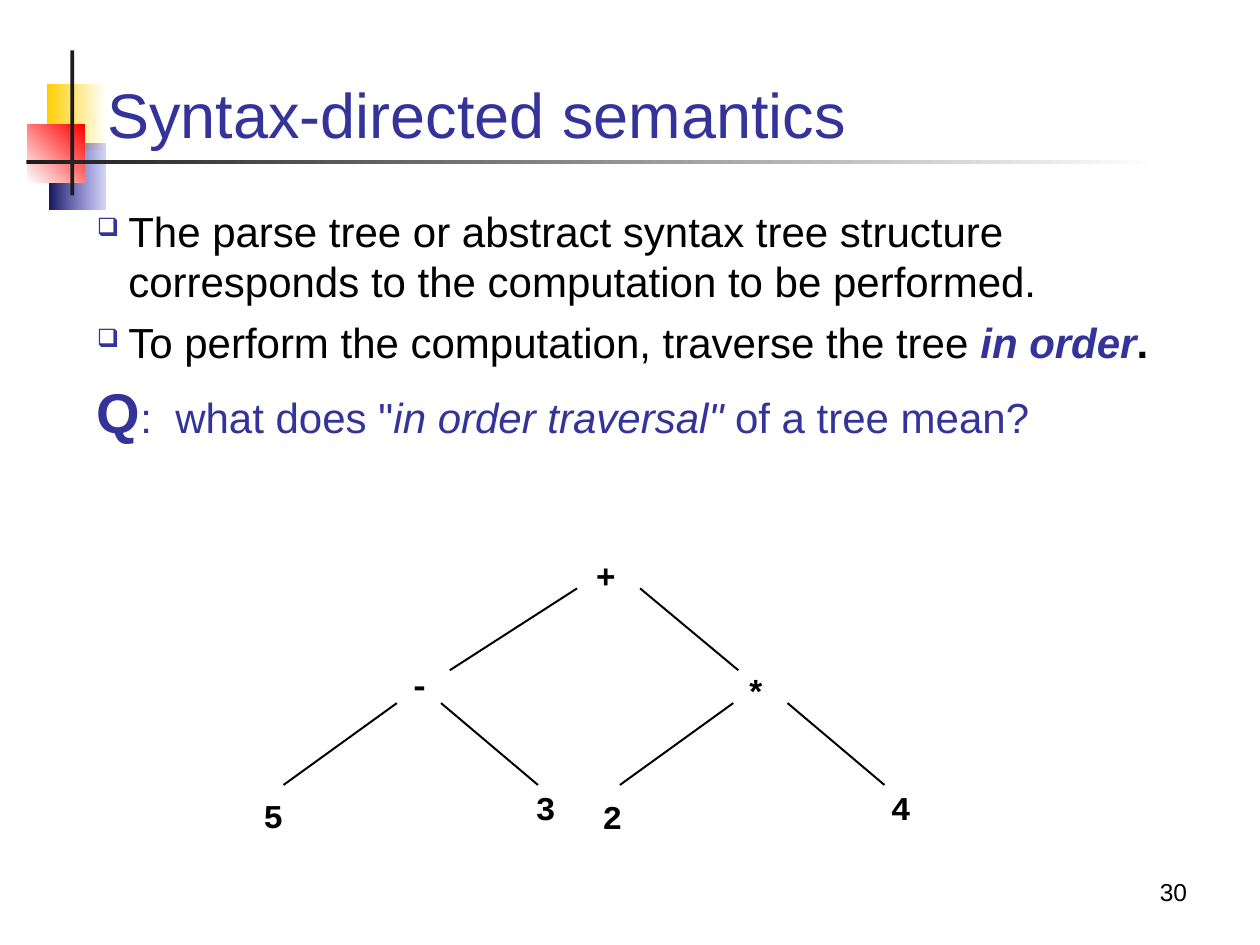
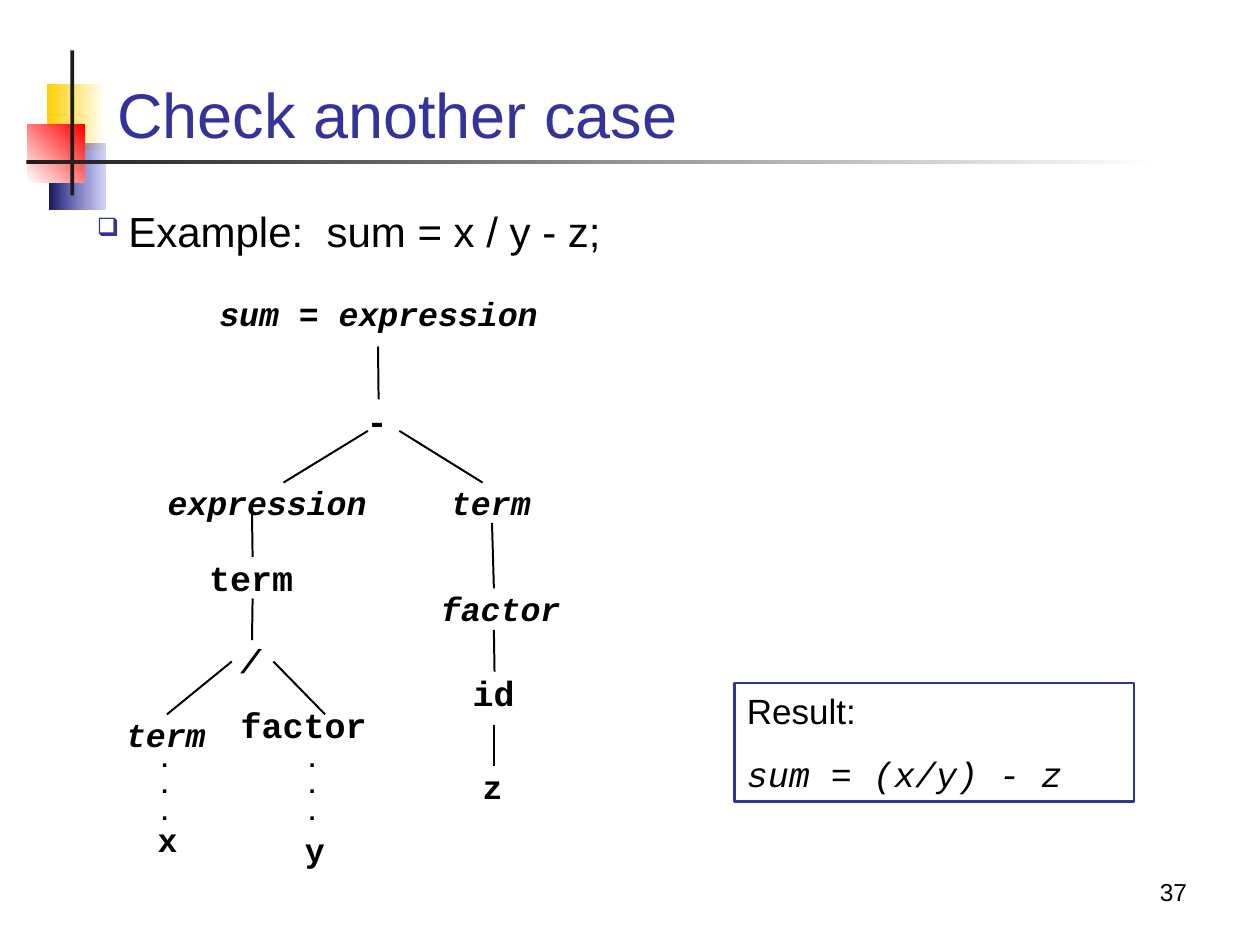
from typing import Any, NamedTuple

from lxml.etree import SubElement
from pptx import Presentation
from pptx.dml.color import RGBColor
from pptx.enum.shapes import MSO_CONNECTOR, MSO_SHAPE
from pptx.enum.text import MSO_ANCHOR, MSO_AUTO_SIZE, PP_ALIGN
from pptx.oxml.ns import qn
from pptx.util import Inches, Pt

BLUE = "333399"
BLACK = "000000"
DARK = "1C1C1C"
WHITE = "FFFFFF"
SANS = "Arial"
MONO = "Courier New"


class Block(NamedTuple):
    """A coloured rectangle of the title motif."""
    left: float
    top: float
    width: float
    height: float
    start: str
    end: str
    angle: int = 0
    alpha: int = 100


class Node(NamedTuple):
    """A label in a tree."""
    text: str
    left: float
    top: float
    size: int = 19
    italic: bool = False


class Edge(NamedTuple):
    """A line between two tree levels."""
    x1: float
    y1: float
    x2: float
    y2: float


class Run(NamedTuple):
    """A piece of text with its own format."""
    text: str
    fmt: dict[str, Any] = {}


MOTIF = [
    Block(0.37, 0.67, 0.47, 0.52, "FFCF01", WHITE),
    Block(0.39, 1.14, 0.45, 0.52, "18185E", "3333CC", alpha=20),
    Block(0.22, 0.99, 0.45, 0.46, WHITE, "FF0000", angle=45),
    Block(0.56, 0.4, 0.03, 1.15, DARK, DARK),
    Block(0.21, 1.27, 9, 0.03, DARK, WHITE),
]


def paint(color: Any, value: str) -> None:
    color.rgb = RGBColor.from_string(value)


def style(run: Any, size: float = 24, font: str = SANS, color: str = BLACK,
          bold: bool = False, italic: bool = False) -> None:
    run.font.size = Pt(size)
    run.font.name = font
    run.font.bold = bold
    run.font.italic = italic
    paint(run.font.color, color)


def write(frame: Any, paras: list[list[Run]], align: Any = PP_ALIGN.LEFT,
          before: float = 0, space: float = 1.0, **fmt: Any) -> None:
    """Fill a text frame; each run may override the shared format."""
    for i, runs in enumerate(paras):
        para = frame.paragraphs[0] if i == 0 else frame.add_paragraph()
        para.alignment = align
        para.line_spacing = space
        para.space_before = Pt(before if i else 0)
        for part in runs:
            run = para.add_run()
            run.text = part.text
            style(run, **{**fmt, **part.fmt})


def indent(para: Any, mark: str = "") -> None:
    """Hang a paragraph, with a bullet if a mark is given."""
    props = para._p.get_or_add_pPr()
    props.set("marL", str(Inches(0.25)))
    props.set("indent", str(-Inches(0.25)))
    if mark:
        tint = SubElement(props, qn("a:buClr"))
        SubElement(tint, qn("a:srgbClr"), val=BLUE)
        SubElement(props, qn("a:buSzPct"), val="60000")
        SubElement(props, qn("a:buChar"), char=mark)
    else:
        SubElement(props, qn("a:buNone"))


def add_box(slide: Any, left: float, top: float, width: float,
            height: float) -> Any:
    box = slide.shapes.add_textbox(Inches(left), Inches(top),
                                   Inches(width), Inches(height))
    box.text_frame.word_wrap = True
    return box


def add_block(slide: Any, block: Block) -> None:
    shape = slide.shapes.add_shape(
        MSO_SHAPE.RECTANGLE, Inches(block.left), Inches(block.top),
        Inches(block.width), Inches(block.height))
    shape.shadow.inherit = False
    shape.line.fill.background()
    if block.start == block.end:
        shape.fill.solid()
        paint(shape.fill.fore_color, block.start)
        return
    shape.fill.gradient()
    shape.fill.gradient_angle = block.angle
    first, last = shape.fill.gradient_stops
    paint(first.color, block.start)
    paint(last.color, block.end)
    if block.alpha < 100:
        stop = shape._element.spPr.findall(".//" + qn("a:srgbClr"))[-1]
        SubElement(stop, qn("a:alpha"), val=str(block.alpha * 1000))


def add_page(deck: Any, title: str, number: int, left: float, top: float) -> Any:
    """Start a slide with the motif, title and page number."""
    slide = deck.slides.add_slide(deck.slide_layouts[5])
    for block in MOTIF:
        add_block(slide, block)
    head = slide.shapes.title
    head.left, head.top = Inches(left), Inches(top)
    head.width, head.height = Inches(8.5), Inches(1.25 - top)
    head.text_frame.vertical_anchor = MSO_ANCHOR.BOTTOM
    write(head.text_frame, [[Run(title)]], size=36, color=BLUE)
    foot = add_box(slide, 7.44, 6.74, 2.08, 0.5).text_frame
    foot.vertical_anchor = MSO_ANCHOR.BOTTOM
    write(foot, [[Run(str(number))]], align=PP_ALIGN.RIGHT, size=14)
    return slide


def add_body(slide: Any, height: float, paras: list[list[Run]],
             marks: list[str]) -> None:
    frame = add_box(slide, 0.67, 1.58, 8.66, height).text_frame
    write(frame, paras, before=6)
    for para, mark in zip(frame.paragraphs, marks):
        indent(para, mark)


def add_label(slide: Any, lines: list[str], left: float, top: float,
              size: int, italic: bool = False, space: float = 1.0) -> Any:
    """Place bold code text in a tight box sized from its letters."""
    width = 0.6 * size / 72 * max(map(len, lines)) + 0.02
    height = 1.2 * size / 72 * len(lines) * space
    box = add_box(slide, left, top, round(width, 2), round(height, 2))
    frame = box.text_frame
    frame.word_wrap = False
    frame.auto_size = MSO_AUTO_SIZE.SHAPE_TO_FIT_TEXT
    frame.margin_left = frame.margin_right = 0
    frame.margin_top = frame.margin_bottom = 0
    write(frame, [[Run(line)] for line in lines], space=space,
          size=size, font=MONO, bold=True, italic=italic)
    return box


def find_site(boxes: list[Any], x: int, y: int) -> tuple[Any, int] | None:
    """Find the label whose top or bottom middle lies at a point."""
    near = Inches(0.03)
    for box in boxes:
        if abs(box.left + box.width // 2 - x) < near:
            for site, edge in ((0, box.top), (2, box.top + box.height)):
                if abs(edge - y) < near:
                    return box, site
    return None


def add_tree(slide: Any, nodes: list[Node], edges: list[Edge]) -> None:
    boxes = [add_label(slide, [n.text], n.left, n.top, n.size, n.italic)
             for n in nodes]
    for edge in edges:
        x1, y1, x2, y2 = map(Inches, edge)
        line = slide.shapes.add_connector(MSO_CONNECTOR.STRAIGHT, x1, y1, x2, y2)
        paint(line.line.color, BLACK)
        line.line.width = Pt(1.13)
        SubElement(line._element.spPr, qn("a:effectLst"))
        for join, x, y in ((line.begin_connect, x1, y1),
                           (line.end_connect, x2, y2)):
            found = find_site(boxes, x, y)
            if found:
                join(*found)


def add_order(deck: Any) -> None:
    slide = add_page(deck, "Syntax-directed semantics", 30, 0.75, 0.08)
    blue = {"color": BLUE}
    add_body(slide, 2.56, [
        [Run("The parse tree or abstract syntax tree structure "
             "corresponds to the computation to be performed.")],
        [Run("To perform the computation, traverse the tree "),
         Run("in order", {**blue, "bold": True, "italic": True}),
         Run(".", {"bold": True})],
        [Run("Q", {**blue, "size": 32, "bold": True}),
         Run(":  what does \"", blue),
         Run("in order traversal\"", {**blue, "italic": True}),
         Run(" of a tree mean?", blue)],
    ], ["❑", "❑", ""])
    nodes = [
        Node("+", 4.73, 4.41), Node("-", 3.25, 5.27), Node("*", 5.92, 5.33),
        Node("5", 2.09, 6.31), Node("3", 4.25, 6.25),
        Node("2", 4.78, 6.32), Node("4", 7.07, 6.25),
    ]
    edges = [Edge(4.58, 4.67, 3.57, 5.32), Edge(5.08, 4.67, 5.86, 5.32)]
    for left, right in ((3.15, 3.5), (5.82, 6.25)):
        edges += [Edge(left, 5.58, left - 0.9, 6.23),
                  Edge(right, 5.58, right + 0.77, 6.23)]
    add_tree(slide, nodes, edges)


def add_case(deck: Any) -> None:
    slide = add_page(deck, "Check another case", 37, 0.83, 0.33)
    add_body(slide, 0.62, [[Run("Example:  sum = x / y - z;")]], ["❑"])
    nodes = [
        Node("sum = expression", 1.74, 2.33, italic=True),
        Node("-", 2.91, 3.17, 20),
        # Left branch
        Node("expression", 1.33, 3.83, italic=True),
        Node("term", 1.66, 4.42, 20),
        Node("/", 1.91, 5.08, italic=True),
        Node("term", 1, 5.67, italic=True),
        Node("factor", 1.91, 5.58, 20),
        Node("x", 1.25, 6.5), Node("y", 2.42, 6.58),
        # Right branch
        Node("term", 3.58, 3.83, italic=True),
        Node("factor", 3.5, 4.67, italic=True),
        Node("id", 3.75, 5.33, 20), Node("z", 3.83, 6.08),
    ]
    edges = [
        Edge(2.92, 3.42, 2.25, 3.83), Edge(3.17, 3.42, 3.83, 3.83),
        Edge(1.84, 5.25, 1.33, 5.67), Edge(2.17, 5.25, 2.58, 5.67),
    ]
    stems = [(3, 2.75, 3.17), (2, 4.08, 4.42), (2, 4.75, 5.08),
             (3.92, 4.17, 4.67), (3.92, 5, 5.33), (3.92, 5.75, 6.08)]
    edges += [Edge(x, top, x, low) for x, top, low in stems]
    add_tree(slide, nodes, edges)
    # Steps left out
    for left in (1.25, 2.42):
        add_label(slide, ["."] * 3, left, 5.92, 14, space=0.9)
    # Result
    box = add_box(slide, 5.83, 5.42, 3.17, 0.94)
    paint(box.line.color, BLUE)
    box.line.width = Pt(1.5)
    box.text_frame.auto_size = MSO_AUTO_SIZE.SHAPE_TO_FIT_TEXT
    write(box.text_frame, [
        [Run("Result:")],
        [Run("sum = (x/y) - z", {"font": MONO, "italic": True})],
    ], before=12.5, size=20)


def main() -> None:
    deck = Presentation()
    deck.slide_width, deck.slide_height = Inches(10), Inches(7.5)
    add_order(deck)
    add_case(deck)
    deck.save("out.pptx")


if __name__ == "__main__":
    main()
